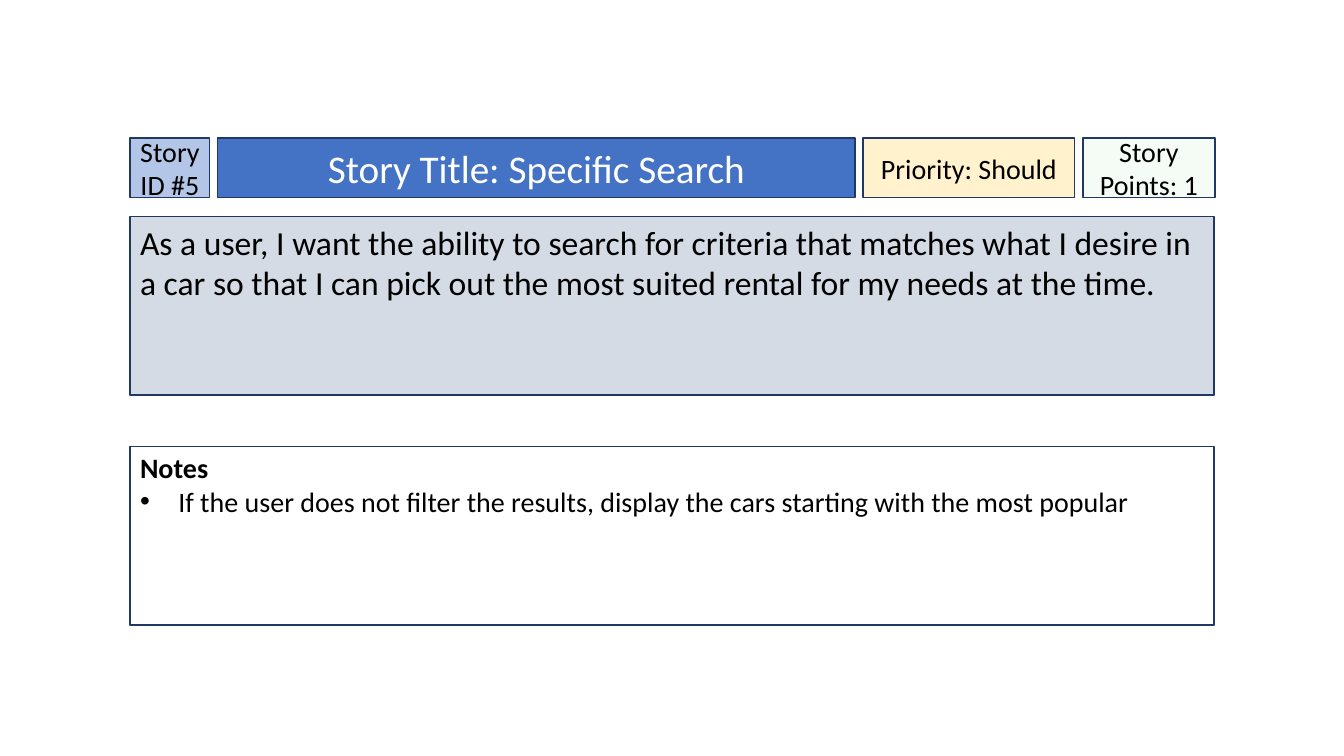
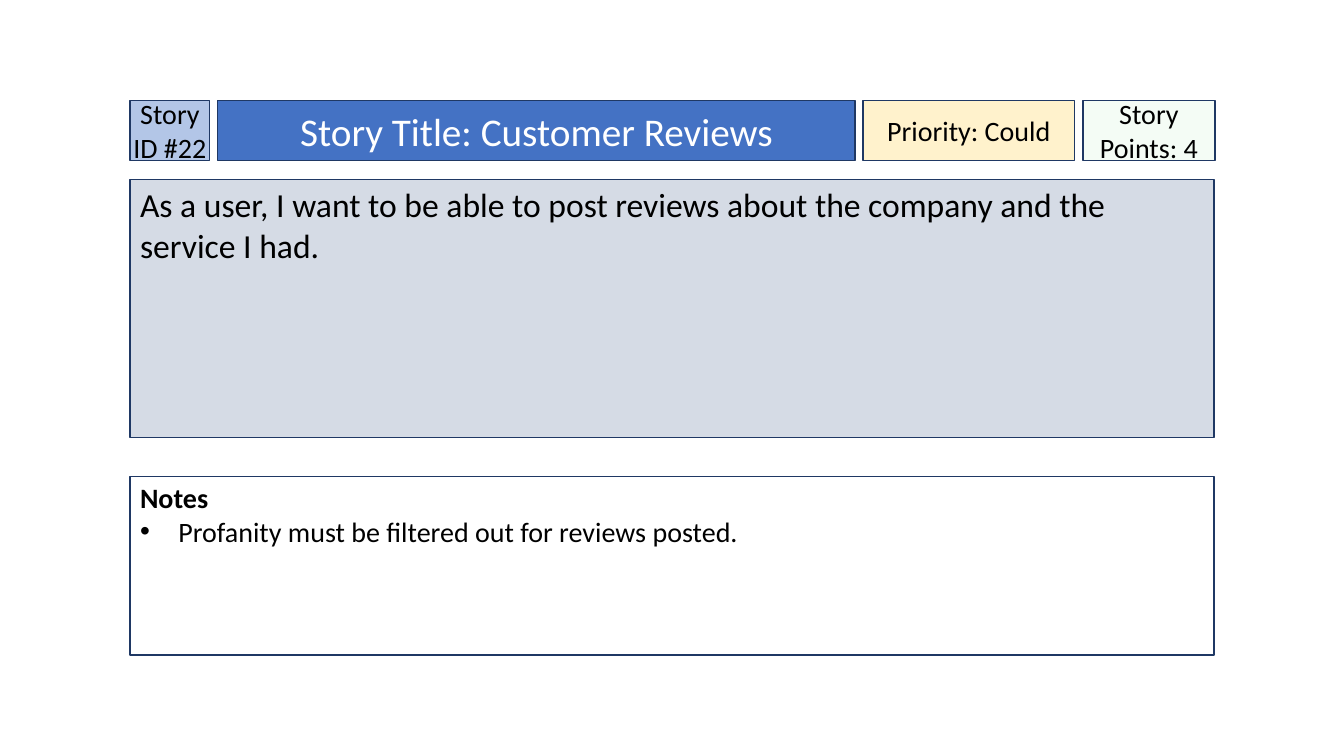
"""Build two user story cards, one per slide."""
from dataclasses import dataclass

from lxml.etree import SubElement
from pptx import Presentation
from pptx.dml.color import RGBColor as RGB
from pptx.enum.shapes import MSO_SHAPE as SHAPE
from pptx.enum.text import MSO_ANCHOR as ANCHOR, MSO_AUTO_SIZE as AUTO, PP_ALIGN as ALIGN
from pptx.oxml.ns import qn
from pptx.util import Inches, Pt


@dataclass(frozen=True)
class Theme:
    font: str = "Calibri"
    title: int = 28
    story: int = 24
    label: int = 20
    outline: str = "1F3864"
    id_fill: str = "B3C6E7"
    title_fill: str = "4472C4"
    priority_fill: str = "FFF2CC"
    points_fill: str = "CCF0CD"
    story_fill: str = "D5DBE5"
    white: str = "FFFFFF"
    black: str = "000000"


T = Theme()
LEFT, WIDTH, GAP = 1.29, 10.75, 0.08
HEADER_H, STORY_OFFSET, NOTES_H = 0.59, 0.78, 1.77

STORIES = [
    dict(id="5", title="Specific Search", priority="Should", points="1",
         top=1.37, story_h=1.77, notes_top=4.43,
         story="As a user, I want the ability to search for criteria that matches what I desire in "
               "a car so that I can pick out the most suited rental for my needs at the time.",
         note="If the user does not filter the results, display the cars starting with the most popular"),
    dict(id="22", title="Customer Reviews", priority="Could", points="4",
         top=1, story_h=2.56, notes_top=4.73,
         story="As a user, I want to be able to post reviews about the company and the service I had.",
         note="Profanity must be filtered out for reviews posted."),
]


def style_box(sp, box, fill, lines, size, color=T.black, header=False, inset=0.1):
    """Place a box and format its outline, fill and text."""
    sp.left, sp.top, sp.width, sp.height = (Inches(v) for v in box)
    sp.fill.solid()
    sp.fill.fore_color.rgb = RGB.from_string(fill)
    sp.line.color.rgb = RGB.from_string(T.outline)
    sp.line.width = Pt(1)
    tf = sp.text_frame
    tf.text = "\n".join(lines)
    tf.word_wrap = True
    tf.auto_size = AUTO.NONE
    tf.vertical_anchor = ANCHOR.MIDDLE if header else ANCHOR.TOP
    tf.margin_left = tf.margin_right = Inches(inset)
    tf.margin_top = tf.margin_bottom = Inches(0.05)
    for p in tf.paragraphs:
        p.alignment = ALIGN.CENTER if header else ALIGN.LEFT
        for r in p.runs:
            r.font.name = T.font
            r.font.size = Pt(size)
            r.font.color.rgb = RGB.from_string(color)


def add_box(s, *args, **kwargs):
    """Add a styled rectangle to a slide."""
    sp = s.shapes.add_shape(SHAPE.RECTANGLE, 0, 0, 0, 0)
    sp.shadow.inherit = False
    style_box(sp, *args, **kwargs)
    return sp


prs = Presentation()
prs.slide_width, prs.slide_height = Inches(13.33), Inches(7.5)

for story in STORIES:
    s = prs.slides.add_slide(prs.slide_layouts[5])
    top = story["top"]

    header = [
        (f"Story ID #{story['id']}", 0.79, T.id_fill),
        (f"Story Title: {story['title']}", 6.32, T.title_fill),
        (f"Priority: {story['priority']}", 2.1, T.priority_fill),
        (f"Story Points: {story['points']}", 1.31, T.points_fill),
    ]
    x = LEFT
    for text, width, fill in header:
        box = (x, top, width, HEADER_H)
        if fill == T.title_fill:
            style_box(s.shapes.title, box, fill, [text], T.title, T.white, header=True)
        else:
            sp = add_box(s, box, fill, [text], T.label, header=True, inset=0)
        x += width + GAP
    points_color = sp.fill._xPr.find(qn("a:solidFill")).find(qn("a:srgbClr"))
    SubElement(points_color, qn("a:alpha"), val="20000")

    add_box(s, (LEFT, top + STORY_OFFSET, WIDTH, story["story_h"]), T.story_fill,
            [story["story"]], T.story)

    notes = add_box(s, (LEFT, story["notes_top"], WIDTH, NOTES_H), T.white,
                    ["Notes", story["note"]], T.label)
    notes.text_frame.margin_top = Inches(0.04)
    heading, bullet = notes.text_frame.paragraphs
    heading.runs[0].font.bold = True
    pPr = bullet._p.get_or_add_pPr()
    pPr.set("marL", str(Inches(0.38)))
    pPr.set("indent", str(-Inches(0.38)))
    SubElement(SubElement(pPr, qn("a:buClr")), qn("a:srgbClr"), val=T.black)
    SubElement(pPr, qn("a:buFont"), typeface="Arial")
    SubElement(pPr, qn("a:buChar"), char="•")

prs.save("out.pptx")
